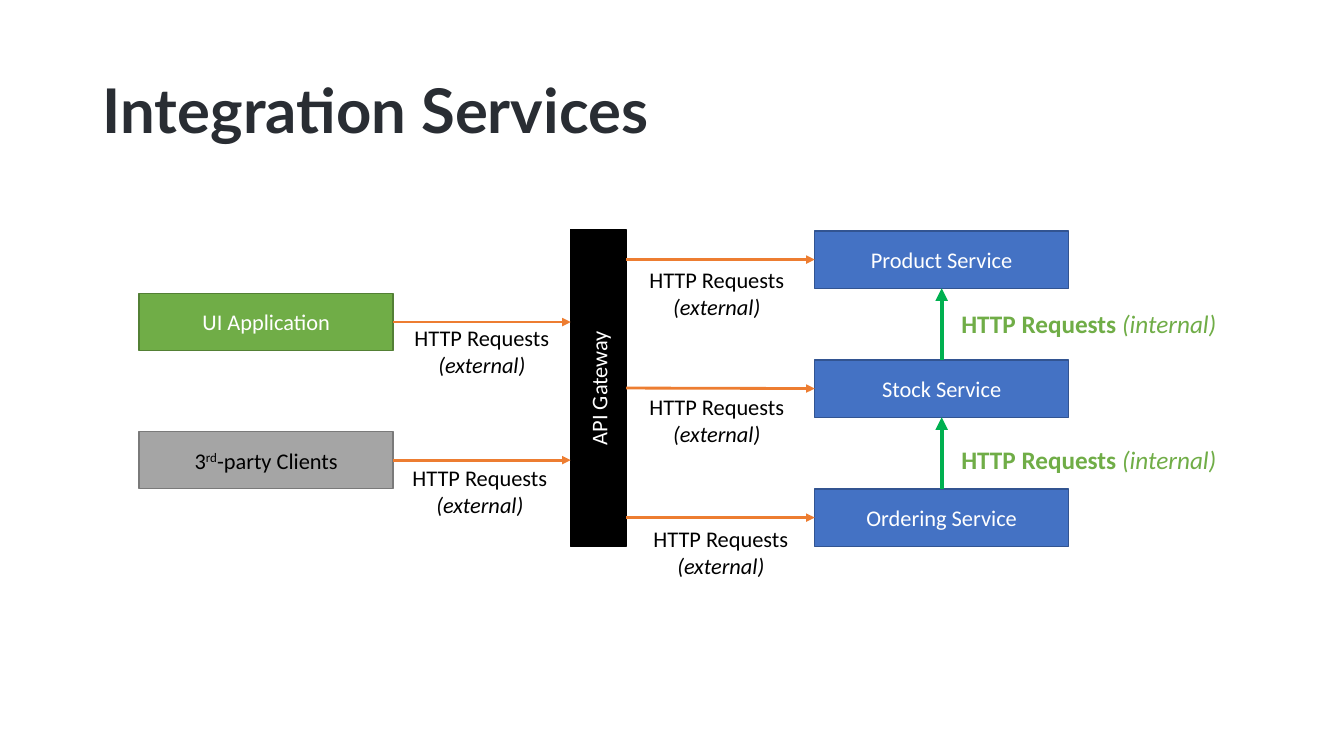
"""Build the Integration Services slide with its API gateway diagram."""
from pptx import Presentation
from pptx.dml.color import RGBColor
from pptx.enum.shapes import MSO_CONNECTOR, MSO_SHAPE
from pptx.enum.text import MSO_ANCHOR, MSO_AUTO_SIZE, PP_ALIGN
from pptx.oxml.ns import qn
from pptx.util import Inches, Pt
from lxml.etree import SubElement

WHITE = RGBColor(0xFF, 0xFF, 0xFF)
BLACK = RGBColor(0x00, 0x00, 0x00)
INK = RGBColor(0x29, 0x2D, 0x33)
BLUE = RGBColor(0x44, 0x72, 0xC4)
BLUE_EDGE = RGBColor(0x32, 0x54, 0x91)
GREEN = RGBColor(0x70, 0xAD, 0x47)
GREEN_EDGE = RGBColor(0x53, 0x80, 0x35)
GREY = RGBColor(0xA5, 0xA5, 0xA5)
GREY_EDGE = RGBColor(0x7A, 0x7A, 0x7A)
ORANGE = RGBColor(0xED, 0x7D, 0x31)
ARROW_GREEN = RGBColor(0x00, 0xB0, 0x50)

BOX_W, BOX_H = 2.52, 0.57
CLIENT_X, GATEWAY_X, GATEWAY_W, SERVICE_X = 1.38, 5.66, 0.55, 8.08

prs = Presentation()
prs.slide_width, prs.slide_height = Inches(13.33), Inches(7.5)
s = prs.slides.add_slide(prs.slide_layouts[5])

title = s.shapes.title
title.left, title.top = Inches(0.92), Inches(0.4)
title.width, title.height = Inches(11.5), Inches(1.45)
tf = title.text_frame
tf.text = "Integration Services"
tf.vertical_anchor = MSO_ANCHOR.MIDDLE
p = tf.paragraphs[0]
p.alignment = PP_ALIGN.LEFT
p.line_spacing = 0.9
p.font.name, p.font.size, p.font.bold = "Lato", Pt(44), True
p.font.color.rgb = INK


def add_box(x, y, w, h, runs, fill, edge, color):
    sp = s.shapes.add_shape(MSO_SHAPE.RECTANGLE, Inches(x), Inches(y), Inches(w), Inches(h))
    sp.shadow.inherit = False
    sp.fill.solid()
    sp.fill.fore_color.rgb = fill
    sp.line.color.rgb = edge
    sp.line.width = Pt(1)
    sp.text_frame.vertical_anchor = MSO_ANCHOR.MIDDLE
    p = sp.text_frame.paragraphs[0]
    p.alignment = PP_ALIGN.CENTER
    p.font.name, p.font.size = "Calibri", Pt(16)
    p.font.color.rgb = color
    for text in runs:
        p.add_run().text = text
    return sp


def add_arrow(x1, y1, x2, y2, color, width):
    line = s.shapes.add_connector(MSO_CONNECTOR.STRAIGHT, Inches(x1), Inches(y1), Inches(x2), Inches(y2))
    line.line.color.rgb = color
    line.line.width = Pt(width)
    SubElement(line.line._get_or_add_ln(), qn("a:tailEnd"), type="triangle")
    SubElement(line._element.spPr, qn("a:effectLst"))
    return line


gateway = add_box(GATEWAY_X, 2.28, GATEWAY_W, 3.14, ["API Gateway"], BLACK, BLACK, WHITE)
gateway.text_frame._txBody.bodyPr.set("vert", "vert270")

clients = [
    (2.91, ["UI Application"], GREEN, GREEN_EDGE, WHITE),
    (4.28, ["3", "rd", "-party Clients"], GREY, GREY_EDGE, BLACK),
]
for y, runs, fill, edge, color in clients:
    client = add_box(CLIENT_X, y, BOX_W, BOX_H, runs, fill, edge, color)
    mid = y + BOX_H / 2
    arrow = add_arrow(CLIENT_X + BOX_W, mid, GATEWAY_X, mid, ORANGE, 2)
    arrow.begin_connect(client, 3)
ordinal = client.text_frame.paragraphs[0].runs[1]
ordinal._r.get_or_add_rPr().set("baseline", "30000")

services = []
for i, name in enumerate(["Product Service", "Stock Service", "Ordering Service"]):
    y = 2.29 + 1.28 * i
    service = add_box(SERVICE_X, y, BOX_W, BOX_H, [name], BLUE, BLUE_EDGE, WHITE)
    mid = y + BOX_H / 2
    arrow = add_arrow(GATEWAY_X + GATEWAY_W, mid, SERVICE_X, mid, ORANGE, 2)
    arrow.end_connect(service, 1)
    if name == "Stock Service":
        arrow.begin_connect(gateway, 3)
    services.append(service)

for upper, lower in zip(services, services[1:]):
    arrow = add_arrow(9.34, 3.57, 9.34, 2.86, ARROW_GREEN, 3)
    arrow.begin_connect(lower, 0)
    arrow.end_connect(upper, 2)

external = [(4, 3.17), (3.98, 4.56), (6.33, 2.59), (6.33, 3.85), (6.37, 5.16)]
internal = [(9.4, 3.01), (9.4, 4.36)]
for x, y in external + internal:
    inside = (x, y) in internal
    w, h = (2.8, 0.4) if inside else (1.56, 0.64)
    tf = s.shapes.add_textbox(Inches(x), Inches(y), Inches(w), Inches(h)).text_frame
    tf.word_wrap = inside
    tf.auto_size = MSO_AUTO_SIZE.SHAPE_TO_FIT_TEXT
    p = tf.paragraphs[0]
    p.alignment = PP_ALIGN.CENTER
    p.font.name, p.font.size = "Calibri", Pt(18 if inside else 16)
    p.font.color.rgb = GREEN if inside else BLACK
    r = p.add_run()
    r.text = "HTTP Requests"
    r.font.bold = inside
    if not inside:
        p.add_line_break()
    r = p.add_run()
    r.text = " (internal)" if inside else "(external)"
    r.font.italic = True

prs.save("out.pptx")
